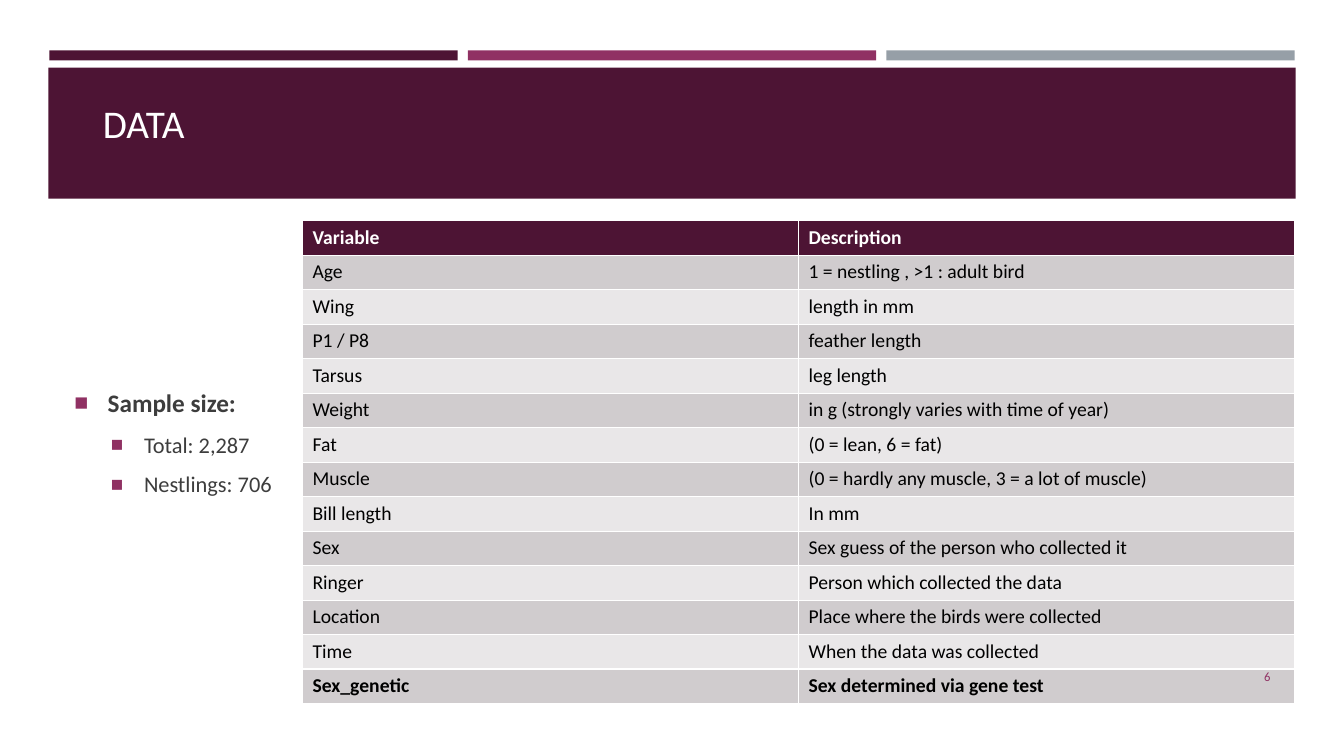
from lxml import etree
from pptx import Presentation
from pptx import util as u
from pptx.dml.color import RGBColor
from pptx.enum import shapes, text
from pptx.oxml.ns import qn

PLUM = RGBColor(0x4D, 0x14, 0x34)
MAGENTA = RGBColor(0x90, 0x31, 0x63)
STEEL = RGBColor(0x96, 0x9F, 0xA7)
WHITE = RGBColor(0xFF, 0xFF, 0xFF)
BLACK = RGBColor(0, 0, 0)
CHARCOAL = RGBColor(0x3D, 0x3D, 0x3D)
DARK_ROW = RGBColor(0xD0, 0xCC, 0xCE)
LIGHT_ROW = RGBColor(0xE9, 0xE7, 0xE8)

VARIABLES = [
    ("Variable", "Description"),
    ("Age", "1 = nestling , >1 : adult bird"),
    ("Wing", "length in mm"),
    ("P1 / P8", "feather length"),
    ("Tarsus", "leg length"),
    ("Weight", "in g (strongly varies with time of year)"),
    ("Fat", "(0 = lean, 6 = fat)"),
    ("Muscle", "(0 = hardly any muscle, 3 = a lot of muscle)"),
    ("Bill length", "In mm"),
    ("Sex", "Sex guess of the person who collected it"),
    ("Ringer", "Person which collected the data"),
    ("Location", "Place where the birds were collected"),
    ("Time", "When the data was collected"),
    ("Sex_genetic", "Sex determined via gene test"),
]
SAMPLES = [("Sample size:", 0), ("Total: 2,287", 1), ("Nestlings: 706", 1)]


def inches(*lengths):
    return [u.Inches(length) for length in lengths]


def set_font(paragraph, size, color, bold=False):
    font = paragraph.font
    font.name, font.size, font.bold = "Calibri", u.Pt(size), bold
    font.color.rgb = color


deck = Presentation()
deck.slide_width, deck.slide_height = inches(13.33, 7.5)
page = deck.slides.add_slide(deck.slide_layouts[5])

# Header: three strips above a band
LEFT, STRIP, GAP = 0.49, 4.05, 0.1
header = [(LEFT + i * (STRIP + GAP), 0.5, STRIP, 0.1, color)
          for i, color in enumerate([PLUM, MAGENTA, STEEL])]
header.append((0.48, 0.67, 12.37, 1.3, PLUM))
for *place, color in header:
    bar = page.shapes.add_shape(shapes.MSO_SHAPE.RECTANGLE, *inches(*place))
    bar.shadow.inherit = False
    bar.fill.solid()
    bar.fill.fore_color.rgb = color
    bar.line.fill.background()

# Title, brought in front of the band
title = page.shapes.title
title.element.getparent().append(title.element)
title.left, title.top, title.width, title.height = inches(0.92, 0.05, 11.5, 1.45)
title.text_frame.text = "DATA"
title.text_frame.vertical_anchor = text.MSO_ANCHOR.BOTTOM
heading = title.text_frame.paragraphs[0]
heading.alignment = text.PP_ALIGN.LEFT
set_font(heading, 28, WHITE)

# Table of variables
table = page.shapes.add_table(len(VARIABLES), 2, *inches(3, 2.19, 9.84, 4.79)).table
last = len(VARIABLES) - 1
for r, row in enumerate(VARIABLES):
    for c, words in enumerate(row):
        cell = table.cell(r, c)
        cell.text = words
        cell.fill.solid()
        cell.fill.fore_color.rgb = PLUM if r == 0 else DARK_ROW if r % 2 else LIGHT_ROW
        set_font(cell.text_frame.paragraphs[0], 14, BLACK if r else WHITE, r in (0, last))

# Sample sizes
box = page.shapes.add_textbox(*inches(0.64, 2.38, 12.06, 4.02))
frame = box.text_frame
frame.word_wrap = True
frame.vertical_anchor = text.MSO_ANCHOR.MIDDLE
for i, (words, level) in enumerate(SAMPLES):
    para = frame.paragraphs[0] if i == 0 else frame.add_paragraph()
    para.text = words
    para.level = level
    size = 18 - 2 * level
    para.space_before, para.space_after = u.Pt(0.2 * size), u.Pt(6)
    set_font(para, size, CHARCOAL, level == 0)
    props = para._p.get_or_add_pPr()
    props.set("marL", str(u.Inches(0.33 + 0.36 * level)))
    props.set("indent", str(u.Inches(-0.33)))
    bullet_color = etree.Element(qn("a:buClr"))
    etree.SubElement(bullet_color, qn("a:srgbClr"), val=str(MAGENTA))
    bullet = [
        bullet_color,
        etree.Element(qn("a:buSzPct"), val="92000"),
        etree.Element(qn("a:buFont"), typeface="Arial"),
        etree.Element(qn("a:buChar"), char="■"),
    ]
    default_font = props.find(qn("a:defRPr"))
    for part in bullet:
        default_font.addprevious(part)

# Page number
number = page.shapes.add_textbox(*inches(11.55, 6.51, 1.15, 0.4))
number.text_frame.word_wrap = True
number.text_frame.vertical_anchor = text.MSO_ANCHOR.MIDDLE
para = number.text_frame.paragraphs[0]
para.text = "6"
para.alignment = text.PP_ALIGN.RIGHT
set_font(para, 9, MAGENTA)

deck.save("out.pptx")
